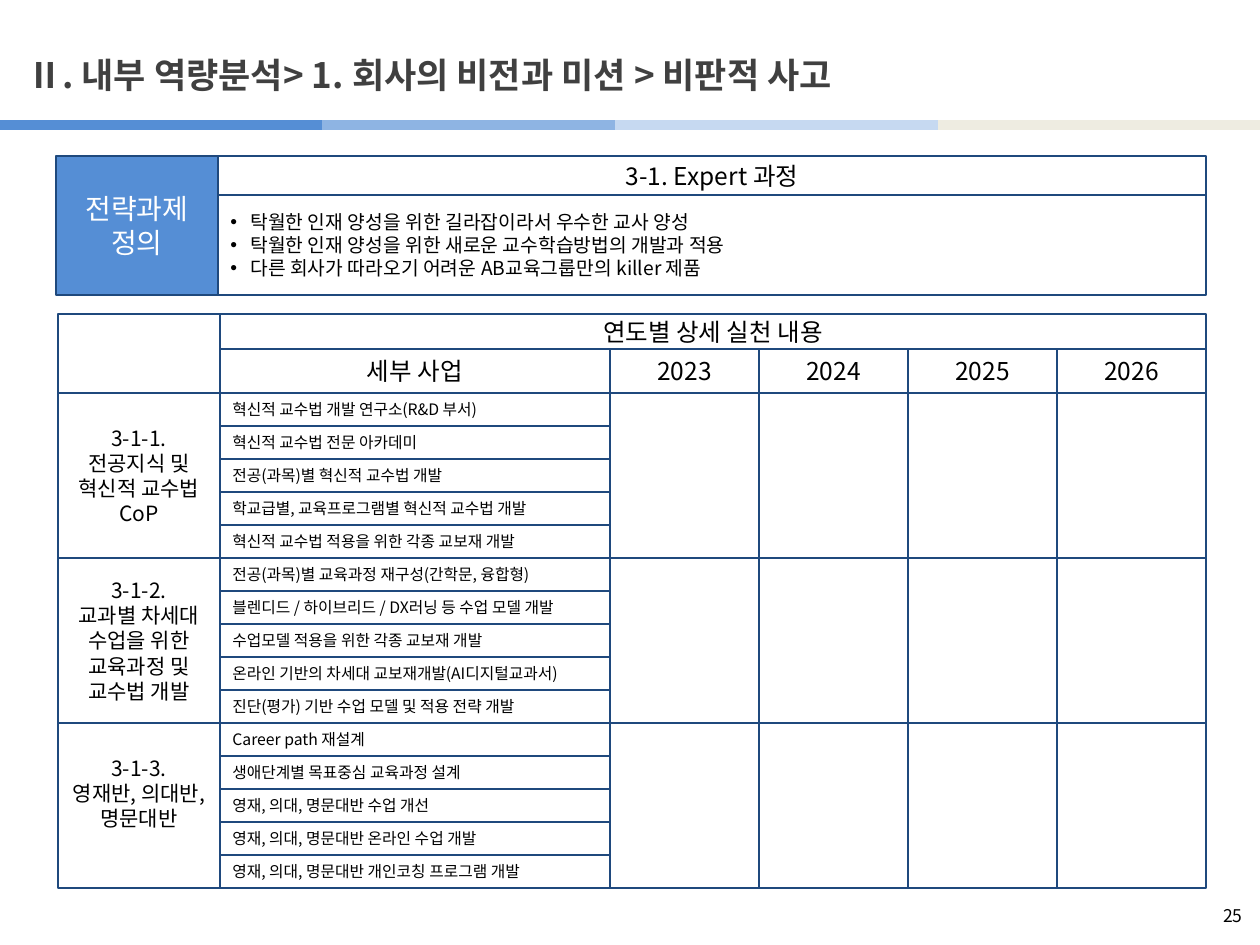
from dataclasses import dataclass

from lxml.etree import SubElement
from pptx import Presentation
from pptx.dml.color import RGBColor
from pptx.enum.shapes import MSO_CONNECTOR, MSO_SHAPE
from pptx.enum.text import MSO_ANCHOR, PP_ALIGN
from pptx.oxml.ns import qn
from pptx.util import Pt

PX = 914400 / 126


@dataclass(frozen=True)
class Theme:
    font: str = "Noto Sans CJK KR"
    title_ink: RGBColor = RGBColor(0x40, 0x40, 0x40)
    ink: RGBColor = RGBColor(0, 0, 0)
    white: RGBColor = RGBColor(0xFF, 0xFF, 0xFF)
    accent: RGBColor = RGBColor(0x55, 0x8E, 0xD5)
    border: RGBColor = RGBColor(0x1F, 0x49, 0x7D)
    bands: tuple = ("558ED5", "8EB4E3", "C6D9F1", "EEECE1")
    title: int = 20
    label: int = 16
    heading: int = 14
    group: int = 12
    body: int = 11
    item: int = 9
    page: int = 10


theme = Theme()
prs = Presentation()
prs.slide_width, prs.slide_height = round(1260 * PX), round(945 * PX)
slide = prs.slides.add_slide(prs.slide_layouts[6])


def write(shape, lines, size, color=theme.ink, align=PP_ALIGN.CENTER, bold=False):
    """Fill the shape with one paragraph per line and return the paragraphs."""
    frame = shape.text_frame
    frame.word_wrap = True
    frame.vertical_anchor = MSO_ANCHOR.MIDDLE
    for i, line in enumerate(lines):
        paragraph = frame.add_paragraph() if i else frame.paragraphs[0]
        paragraph.alignment = align
        run = paragraph.add_run()
        run.text = line
        run.font.name, run.font.size, run.font.bold = theme.font, Pt(size), bold
        run.font.color.rgb = color
        SubElement(run.font._element, qn("a:ea")).set("typeface", theme.font)
    return frame.paragraphs


def cell(left, top, width, height, fill=None):
    """Add a bordered box, unfilled unless a fill is given."""
    box = slide.shapes.add_shape(
        MSO_SHAPE.RECTANGLE, *(round(v * PX) for v in (left, top, width, height)))
    box.shadow.inherit = False
    if fill is None:
        box.fill.background()
    else:
        box.fill.solid()
        box.fill.fore_color.rgb = fill
    box.line.color.rgb = theme.border
    box.line.width = Pt(0.75)
    return box


# Title, colour band and page number
band_edges = [0, 322, 615, 938, 1260]
for color, start, end in zip(theme.bands, band_edges, band_edges[1:]):
    band = slide.shapes.add_connector(
        MSO_CONNECTOR.STRAIGHT, *(round(v * PX) for v in (start, 125, end, 125)))
    band.line.color.rgb = RGBColor.from_string(color)
    band.line.width = Pt(6)
    SubElement(band._element.spPr, qn("a:effectLst"))

title = slide.shapes.add_textbox(*(round(v * PX) for v in (15, 37, 922, 75)))
write(title, ["Ⅱ. 내부 역량분석> 1. 회사의 비전과 미션 > 비판적 사고"],
      theme.title, theme.title_ink, PP_ALIGN.LEFT, bold=True)
page = slide.shapes.add_textbox(*(round(v * PX) for v in (1206, 898, 49, 35)))
write(page, ["25"], theme.page, align=PP_ALIGN.RIGHT)

# Definition of the strategic task
write(cell(56, 156, 162, 139, theme.accent), ["전략과제", "정의"], theme.label, theme.white)
write(cell(218, 156, 988, 39), ["3-1. Expert 과정"], theme.heading)
goals = write(cell(218, 195, 988, 100), [
    "탁월한 인재 양성을 위한 길라잡이라서 우수한 교사 양성",
    "탁월한 인재 양성을 위한 새로운 교수학습방법의 개발과 적용",
    "다른 회사가 따라오기 어려운 AB교육그룹만의 killer 제품",
], theme.body, align=PP_ALIGN.LEFT)
for goal in goals:
    props = goal._p.get_or_add_pPr()
    props.set("marL", str(round(20 * PX)))
    props.set("indent", str(round(-20 * PX)))
    SubElement(props, qn("a:buFont")).set("typeface", "Arial")
    SubElement(props, qn("a:buChar")).set("char", "•")

# Plan headings
GROUP_X, ITEM_X, YEAR_X, RIGHT = 58, 220, 610, 1206
HEAD_Y, SUBHEAD_Y, BODY_Y = 314, 349, 393
GROUP_H, ITEM_H = 165, 33
years = ["2023", "2024", "2025", "2026"]
year_w = (RIGHT - YEAR_X) // len(years)
cell(GROUP_X, HEAD_Y, ITEM_X - GROUP_X, BODY_Y - HEAD_Y)
write(cell(ITEM_X, HEAD_Y, RIGHT - ITEM_X, SUBHEAD_Y - HEAD_Y),
      ["연도별 상세 실천 내용"], theme.heading)
write(cell(ITEM_X, SUBHEAD_Y, YEAR_X - ITEM_X, BODY_Y - SUBHEAD_Y),
      ["세부 사업"], theme.heading)
for col, year in enumerate(years):
    write(cell(YEAR_X + col * year_w, SUBHEAD_Y, year_w, BODY_Y - SUBHEAD_Y),
          [year], theme.heading)

# Plan groups with their projects and year cells
groups = [
    ("3-1-1.", "전공지식 및 혁신적 교수법 CoP", 6, [
        "혁신적 교수법 개발 연구소(R&D 부서)",
        "혁신적 교수법 전문 아카데미",
        "전공(과목)별 혁신적 교수법 개발",
        "학교급별, 교육프로그램별 혁신적 교수법 개발",
        "혁신적 교수법 적용을 위한 각종 교보재 개발"]),
    ("3-1-2.", "교과별 차세대 수업을 위한 교육과정 및 교수법 개발", 6, [
        "전공(과목)별 교육과정 재구성(간학문, 융합형)",
        "블렌디드 / 하이브리드 / DX러닝 등 수업 모델 개발",
        "수업모델 적용을 위한 각종 교보재 개발",
        "온라인 기반의 차세대 교보재개발(AI디지털교과서)",
        "진단(평가) 기반 수업 모델 및 적용 전략 개발"]),
    ("3-1-3.", "영재반, 의대반, 명문대반", 31, [
        "Career path 재설계",
        "생애단계별 목표중심 교육과정 설계",
        "영재, 의대, 명문대반 수업 개선",
        "영재, 의대, 명문대반 온라인 수업 개발",
        "영재, 의대, 명문대반 개인코칭 프로그램 개발"]),
]
for row, (number, name, bottom_inset, projects) in enumerate(groups):
    top = BODY_Y + row * GROUP_H
    group = cell(GROUP_X, top, ITEM_X - GROUP_X, GROUP_H)
    group.text_frame.margin_bottom = round(bottom_inset * PX)
    write(group, [number, name], theme.group)
    for col in range(len(years)):
        cell(YEAR_X + col * year_w, top, year_w, GROUP_H)
    for i, project in enumerate(projects):
        write(cell(ITEM_X, top + i * ITEM_H, YEAR_X - ITEM_X, ITEM_H),
              [project], theme.item, align=PP_ALIGN.LEFT)

prs.save("out.pptx")
